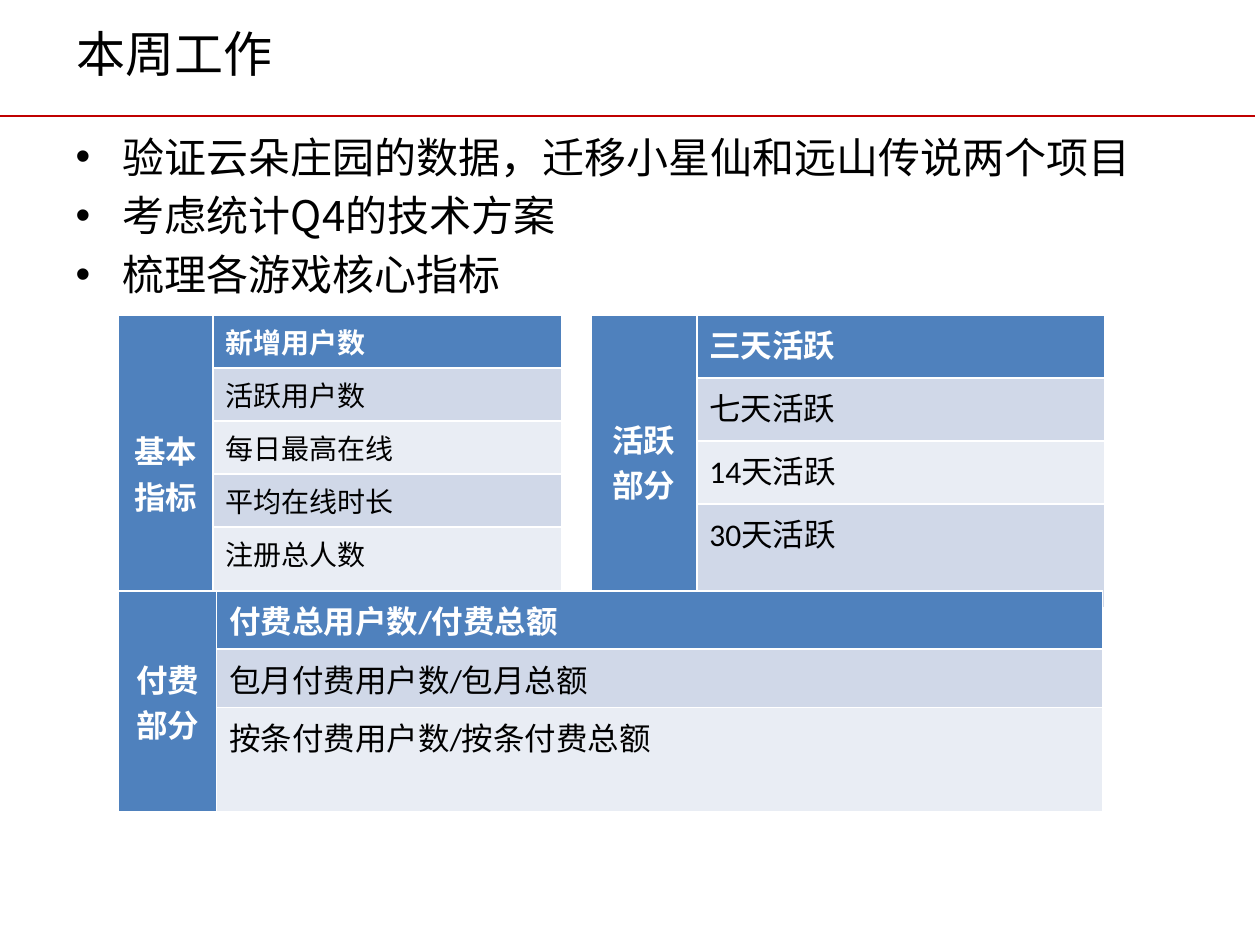
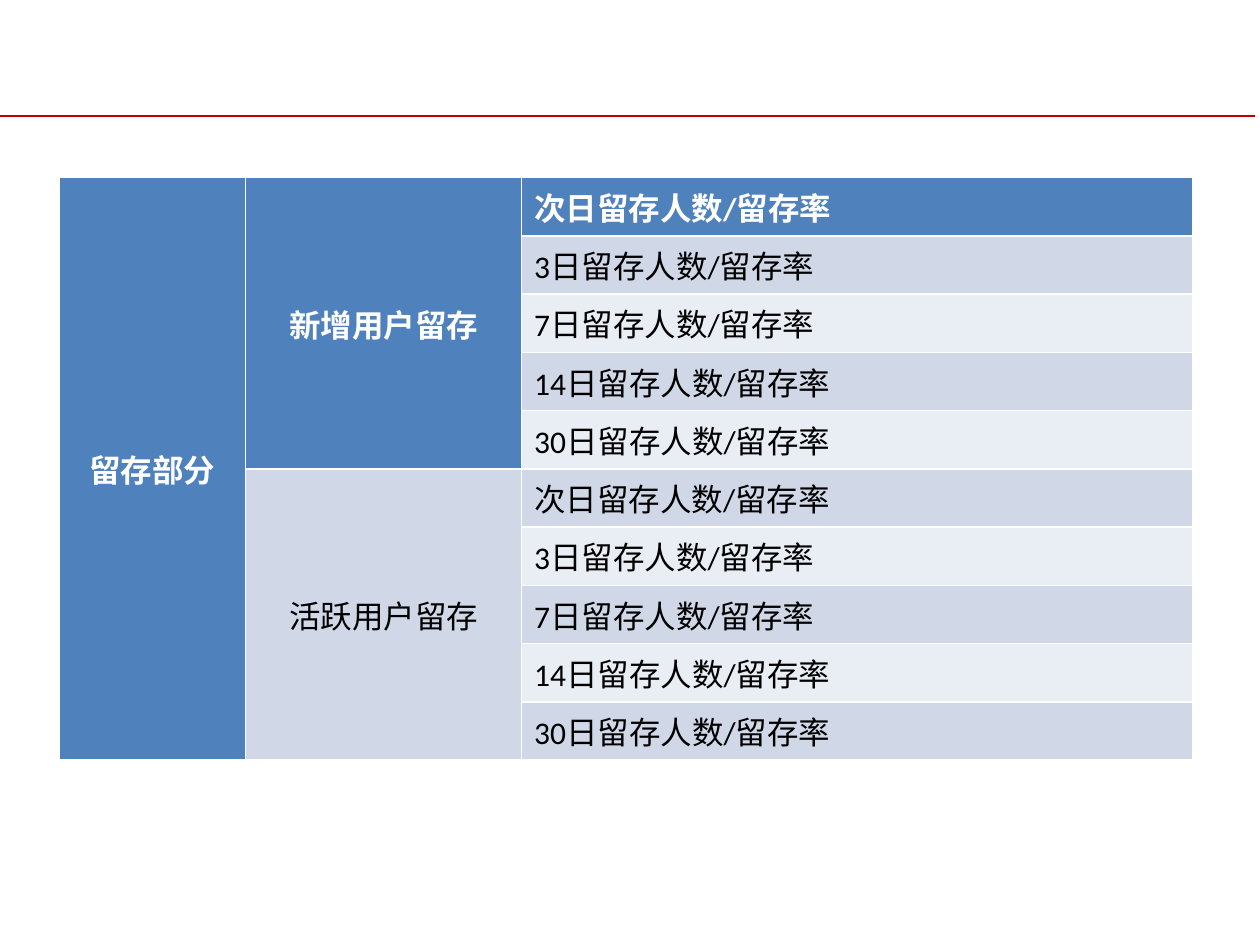
from lxml import etree
from pptx import Presentation
from pptx.dml.color import RGBColor
from pptx.enum.shapes import MSO_CONNECTOR
from pptx.enum.text import MSO_ANCHOR, MSO_AUTO_SIZE, PP_ALIGN
from pptx.oxml.ns import qn
from pptx.util import Inches, Pt

COLORS = {
    "rule": "C00000",
    "text": "000000",
    "header": "4F81BD",
    "header_text": "FFFFFF",
    "band_dark": "D0D8E8",
    "band_light": "E9EDF4",
}
HEADING_FONT = "Noto Sans CJK SC"
TABLE_FONT = "Calibri"
TITLE_AND_BODY, BLANK = 1, 6


def color(name):
    return RGBColor.from_string(COLORS[name])


class Deck:
    def __init__(self):
        self.presentation = Presentation()
        self.presentation.slide_width = Inches(10)
        self.presentation.slide_height = Inches(7.5)
        self.slide = None

    def add_slide(self, layout):
        layouts = self.presentation.slide_layouts
        self.slide = self.presentation.slides.add_slide(layouts[layout])
        self.rule()

    def rule(self):
        line = self.slide.shapes.add_connector(
            MSO_CONNECTOR.STRAIGHT, 0, Inches(0.92), Inches(9.96), Inches(0.92))
        line.line.color.rgb = color("rule")
        line.line.width = Pt(1.5)
        etree.SubElement(line._element.spPr, qn("a:effectLst"))

    def place(self, shape, left, top, width, height):
        shape.left, shape.top = Inches(left), Inches(top)
        shape.width, shape.height = Inches(width), Inches(height)
        shape.text_frame.auto_size = MSO_AUTO_SIZE.NONE

    def format_paragraph(self, paragraph, size, font, ink, bold=False):
        for run in paragraph.runs:
            run.font.size = Pt(size)
            run.font.name = font
            run.font.bold = bold
            run.font.color.rgb = color(ink)
            if font == HEADING_FONT:
                east_asian = etree.SubElement(run.font._element, qn("a:ea"))
                east_asian.set("typeface", font)

    def title(self, text):
        shape = self.slide.shapes.title
        self.place(shape, 0.51, 0, 9, 0.84)
        shape.text_frame.text = text
        shape.text_frame.vertical_anchor = MSO_ANCHOR.MIDDLE
        paragraph = shape.text_frame.paragraphs[0]
        paragraph.alignment = PP_ALIGN.LEFT
        self.format_paragraph(paragraph, 28, HEADING_FONT, "text")

    def bullets(self, lines):
        shape = self.slide.placeholders[1]
        self.place(shape, 0.5, 0.99, 9, 5.71)
        shape.text_frame.text = "\n".join(lines)
        for paragraph in shape.text_frame.paragraphs:
            self.format_paragraph(paragraph, 24, HEADING_FONT, "text")

    def cell(self, cell, text, row, size, is_group):
        is_header = row == 0
        band = "band_dark" if row % 2 else "band_light"
        cell.fill.solid()
        cell.fill.fore_color.rgb = color("header" if is_header else band)
        cell.text_frame.text = text
        paragraph = cell.text_frame.paragraphs[0]
        ink = "header_text" if is_header else "text"
        self.format_paragraph(paragraph, size, TABLE_FONT, ink, is_header)
        if is_group:
            cell.vertical_anchor = MSO_ANCHOR.MIDDLE
            paragraph.alignment = PP_ALIGN.CENTER

    def table(self, left, top, widths, heights, columns, item_size=18):
        row_count = len(heights)
        frame = self.slide.shapes.add_table(
            row_count, len(widths), Inches(left), Inches(top),
            Inches(sum(widths)), Inches(sum(heights)))
        table = frame.table
        for column, width in zip(table.columns, widths):
            column.width = Inches(width)
        for row, height in zip(table.rows, heights):
            row.height = Inches(height)
        for column_index, texts in enumerate(columns):
            span = row_count // len(texts)
            for index, text in enumerate(texts):
                row = index * span
                cell = table.cell(row, column_index)
                if span > 1:
                    cell.merge(table.cell(row + span - 1, column_index))
                size = 18 if span > 1 else item_size
                self.cell(cell, text, row, size, span > 1)


deck = Deck()

deck.add_slide(TITLE_AND_BODY)
deck.title("本周工作")
deck.bullets([
    "验证云朵庄园的数据，迁移小星仙和远山传说两个项目",
    "考虑统计Q4的技术方案",
    "梳理各游戏核心指标",
])
deck.table(0.94, 2.5, [0.75, 2.77], [0.33] + [0.37] * 4, [
    ["基本指标"],
    ["新增用户数", "活跃用户数", "每日最高在线", "平均在线时长", "注册总人数"],
], item_size=16)
deck.table(4.69, 2.5, [0.84, 3.24], [0.5] * 4, [
    ["活跃部分"],
    ["三天活跃", "七天活跃", "14天活跃", "30天活跃"],
])
deck.table(0.94, 4.69, [0.78, 7.03], [0.41] * 3, [
    ["付费部分"],
    ["付费总用户数/付费总额", "包月付费用户数/包月总额", "按条付费用户数/按条付费总额"],
])

deck.add_slide(BLANK)
retention = [f"{day}日留存人数/留存率" for day in ("次", 3, 7, 14, 30)]
deck.table(0.47, 1.41, [1.48, 2.19, 5.33], [0.41] * 10, [
    ["留存部分"],
    ["新增用户留存", "活跃用户留存"],
    retention * 2,
])

deck.presentation.save("out.pptx")
